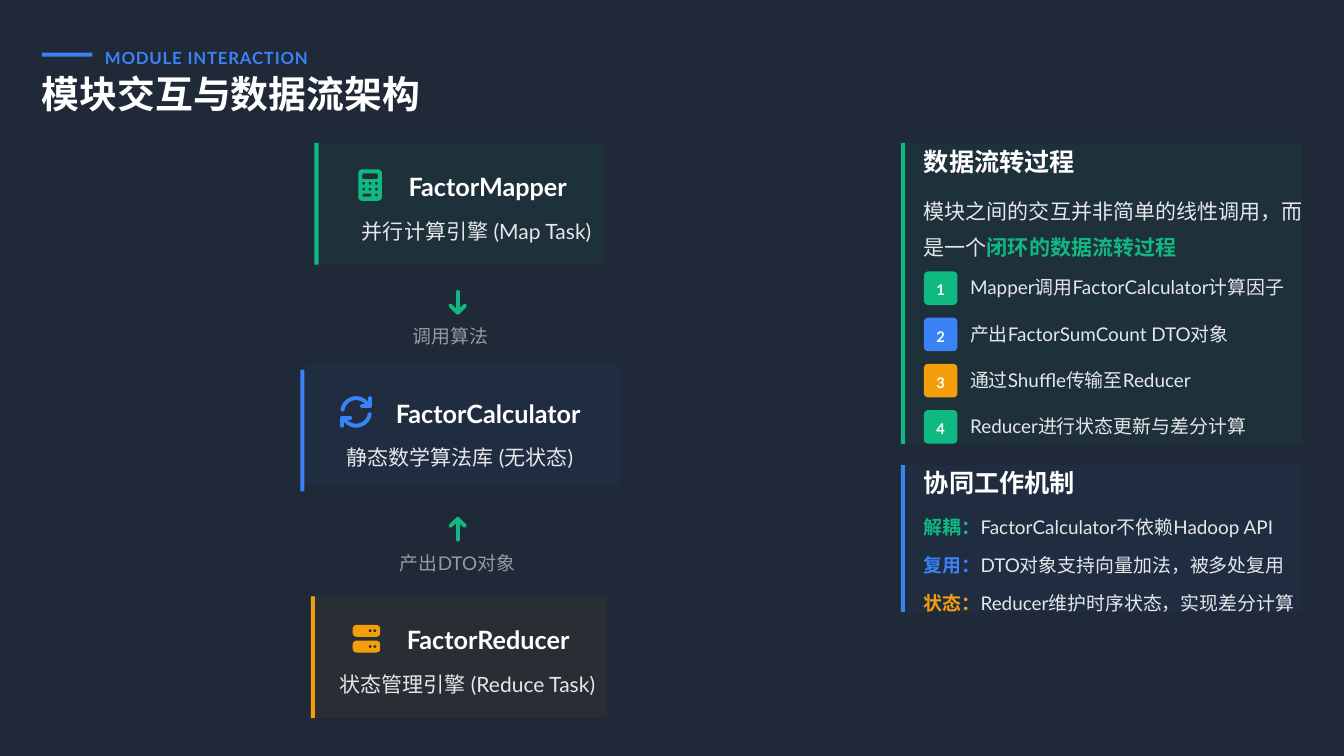
"""Build the module interaction and data flow slide."""
import math

import pptx
import pptx.dml.color
import pptx.enum.shapes
import pptx.enum.text
import pptx.oxml.ns
import pptx.util
from lxml import etree

Pt = pptx.util.Pt
RGBColor = pptx.dml.color.RGBColor
SHAPES = pptx.enum.shapes.MSO_SHAPE
CENTER = pptx.enum.text.PP_ALIGN.CENTER
LEFT = pptx.enum.text.PP_ALIGN.LEFT

NAVY = RGBColor(0x1F, 0x29, 0x37)
BLUE = RGBColor(0x3B, 0x82, 0xF6)
GREEN = RGBColor(0x10, 0xB9, 0x81)
AMBER = RGBColor(0xF5, 0x9E, 0x0B)
WHITE = RGBColor(0xFF, 0xFF, 0xFF)
LIGHT = RGBColor(0xE5, 0xE7, 0xEB)

EYEBROW = "MODULE INTERACTION"
TITLE = "模块交互与数据流架构"
MODULES = [
    {"name": "FactorMapper", "role": "并行计算引擎 (Map Task)", "color": GREEN,
     "bar": 299.5, "tint": (299.5, 0, 275), "name_at": (381, 167), "role_at": (330, 248)},
    {"name": "FactorCalculator", "role": "静态数学算法库 (无状态)", "color": BLUE,
     "bar": 286, "tint": (290, -5.5, 301.5), "name_at": (368, 194), "role_at": (316, 244)},
    {"name": "FactorReducer", "role": "状态管理引擎 (Reduce Task)", "color": AMBER,
     "bar": 296, "tint": (296, 0, 282), "name_at": (378, 174), "role_at": (313, 264)},
]
LINKS = [("调用算法", 393, 112, 1), ("产出DTO对象", 381, 122, -1)]
FLOW_TITLE = "数据流转过程"
FLOW_INTRO = [("模块之间的交互并非简单的线性调用，而是一个", LIGHT, False),
              ("闭环的数据流转过程", GREEN, True)]
STEPS = [("Mapper调用FactorCalculator计算因子", GREEN), ("产出FactorSumCount DTO对象", BLUE),
         ("通过Shuffle传输至Reducer", AMBER), ("Reducer进行状态更新与差分计算", GREEN)]
TEAMWORK_TITLE = "协同工作机制"
TEAMWORK = [("解耦：", "FactorCalculator不依赖Hadoop API", GREEN),
            ("复用：", "DTO对象支持向量加法，被多处复用", BLUE),
            ("状态：", "Reducer维护时序状态，实现差分计算", AMBER)]

CARD_TOP, CARD_PITCH, CARD_HEIGHT = 136, 216, 116
BAR_WIDTH = 4
ARROW_X = 436
PANEL_LEFT, PANEL_WIDTH, PANEL_TEXT = 858, 382, 880
STROKE = 3.75

deck = pptx.Presentation()
deck.slide_width, deck.slide_height = Pt(1280.16), Pt(720)
slide = deck.slides.add_slide(deck.slide_layouts[6])
slide.background.fill.solid()
slide.background.fill.fore_color.rgb = NAVY


def set_alpha(parent, percent):
    color = next(parent.iter(pptx.oxml.ns.qn("a:srgbClr")))
    etree.SubElement(color, pptx.oxml.ns.qn("a:alpha")).set("val", str(percent * 1000))


def paint(shape, color, alpha=None):
    shape.shadow.inherit = False
    shape.fill.solid()
    shape.fill.fore_color.rgb = color
    shape.line.fill.background()
    if alpha:
        set_alpha(shape.fill._xPr, alpha)


def block(left, top, width, height, color, alpha=None, kind=SHAPES.RECTANGLE):
    shape = slide.shapes.add_shape(kind, Pt(left), Pt(top), Pt(width), Pt(height))
    paint(shape, color, alpha)
    return shape


def write(frame, runs, size, spacing, align=LEFT, font="Lato", tracking=None, alpha=None):
    frame.word_wrap = True
    frame.vertical_anchor = pptx.enum.text.MSO_ANCHOR.MIDDLE
    frame.margin_left = frame.margin_right = frame.margin_top = frame.margin_bottom = 0
    paragraph = frame.paragraphs[0]
    paragraph.alignment, paragraph.line_spacing = align, spacing
    for words, color, bold in runs:
        run = paragraph.add_run()
        run.text = words
        run.font.size, run.font.bold = Pt(size), bold
        run.font.color.rgb, run.font.name = color, font
        properties = run._r.get_or_add_rPr()
        etree.SubElement(properties, pptx.oxml.ns.qn("a:ea")).set("typeface", font)
        if tracking:
            properties.set("spc", str(tracking))
        if alpha:
            set_alpha(properties, alpha)


def label(left, top, width, height, runs, size, spacing, **style):
    box = slide.shapes.add_textbox(Pt(left), Pt(top), Pt(width), Pt(height))
    write(box.text_frame, runs, size, spacing, **style)


def outline(contours, closed):
    scaled = [[(x * 100, y * 100) for x, y in contour] for contour in contours]
    builder = slide.shapes.build_freeform(*scaled[0][0], scale=127)
    for index, contour in enumerate(scaled):
        if index:
            builder.move_to(*contour[0])
        builder.add_line_segments(contour[1:], close=closed)
    return builder.convert_to_shape()


def stroke(contours, color):
    shape = outline(contours, False)
    shape.shadow.inherit = False
    shape.fill.background()
    shape.line.color.rgb = color
    shape.line.width = Pt(STROKE)
    line = shape.line._get_or_add_ln()
    line.set("cap", "rnd")
    etree.SubElement(line, pptx.oxml.ns.qn("a:round"))


def rounded(left, top, width, height, radius):
    corners = [(width - radius, height - radius), (radius, height - radius),
               (radius, radius), (width - radius, radius)]
    return [(left + x + radius * math.cos(math.radians(angle)),
             top + y + radius * math.sin(math.radians(angle)))
            for turn, (x, y) in enumerate(corners)
            for angle in range(turn * 90, turn * 90 + 91, 15)]


def calculator_icon(top, color):
    left = 341.3
    keys = [(column, row, 2.8) for row in range(2) for column in range(3)]
    keys += [(0, 2, 8.8), (2, 2, 2.8)]
    holes = [rounded(left + 3.8 + 6 * column, top + 11.9 + 5.6 * row, width, 2.8, 1.4)
             for column, row, width in keys]
    paint(outline([rounded(left, top, 22.5, 30, 3.75),
                   rounded(left + 3.75, top + 3.75, 15, 5.6, 1.8)] + holes, True), color)


def refresh_icon(top, color):
    arc = [(13.1 * math.cos(math.radians(angle)), 13.1 * math.sin(math.radians(angle)))
           for angle in range(188, 316, 8)]
    halves = [arc + [(13.2, -5.6)], [(5.6, -5.6), (13.2, -5.6), (13.2, -13.2)]]
    stroke([[(339.2 + side * x, top + 15 + side * y) for x, y in half]
            for side in (1, -1) for half in halves], color)


def server_icon(top, color):
    contours = []
    for row_top in (top + 1.9, top + 16.9):
        contours.append(rounded(336, row_top, 26.2, 11.3, 3.75))
        contours += [rounded(336 + x, row_top + 4.2, 2.8, 2.8, 1.4) for x in (15.2, 19.7)]
    paint(outline(contours, True), color)


def panel(top, height, color, title, title_height, spacing):
    block(PANEL_LEFT, top, PANEL_WIDTH, height, color, 5)
    block(PANEL_LEFT, top, BAR_WIDTH, height, color)
    label(PANEL_TEXT, top, 371, title_height, [(title, WHITE, True)], 24, spacing)


block(40, 50, 48, 4, BLUE)
label(100, 40, 199, 24, [(EYEBROW, BLUE, True)], 16, 1.3, tracking=80)
label(40, 72, 1218, 40, [(TITLE, WHITE, True)], 36, 0.9, font="Noto Sans CJK SC")

for index, (module, icon) in enumerate(zip(MODULES, (calculator_icon, refresh_icon, server_icon))):
    top = CARD_TOP + index * CARD_PITCH
    tint_left, tint_shift, tint_width = module["tint"]
    block(tint_left, top + tint_shift, tint_width, CARD_HEIGHT, module["color"], 5)
    block(module["bar"], top, BAR_WIDTH, CARD_HEIGHT, module["color"])
    icon(top + 25.3, module["color"])
    for key, offset, height, size, spacing, color in (("name", 24, 32, 24, 1.1, WHITE),
                                                      ("role", 68, 24, 20, 1.3, LIGHT)):
        left, width = module[key + "_at"]
        label(left, top + offset, width, height, [(module[key], color, key == "name")],
              size, spacing, align=CENTER)

for index, (words, left, width, direction) in enumerate(LINKS):
    top = CARD_TOP + index * CARD_PITCH
    middle = top + 152
    tip = middle + direction * 9.8
    wing = tip - direction * 6.8
    stroke([[(ARROW_X, middle - direction * 10), (ARROW_X, tip)],
            [(ARROW_X - 7, wing), (ARROW_X, tip), (ARROW_X + 7, wing)]], GREEN)
    label(left, top + 172, width, 20, [(words, LIGHT, False)], 18, 1.2, alpha=60)

panel(136, 287, GREEN, FLOW_TITLE, 32, 1.1)
label(PANEL_TEXT, 184, 369, 59, FLOW_INTRO, 20, 1.4)
for index, (words, color) in enumerate(STEPS):
    top = 258.5 + index * 44
    badge = block(PANEL_TEXT, top, 32, 32, color, kind=SHAPES.ROUNDED_RECTANGLE)
    badge.adjustments[0] = 0.13
    write(badge.text_frame, [(str(index + 1), WHITE, True)], 14, 1.2, align=CENTER)
    label(924, top, 324, 24, [(words, LIGHT, False)], 18, 1.3)

panel(443, 140, BLUE, TEAMWORK_TITLE, 28, 1.2)
for index, (term, words, color) in enumerate(TEAMWORK):
    label(PANEL_TEXT, 487 + index * 36, 368, 24,
          [(term, color, True), (words, LIGHT, False)], 18, 1.3)

deck.save("out.pptx")
